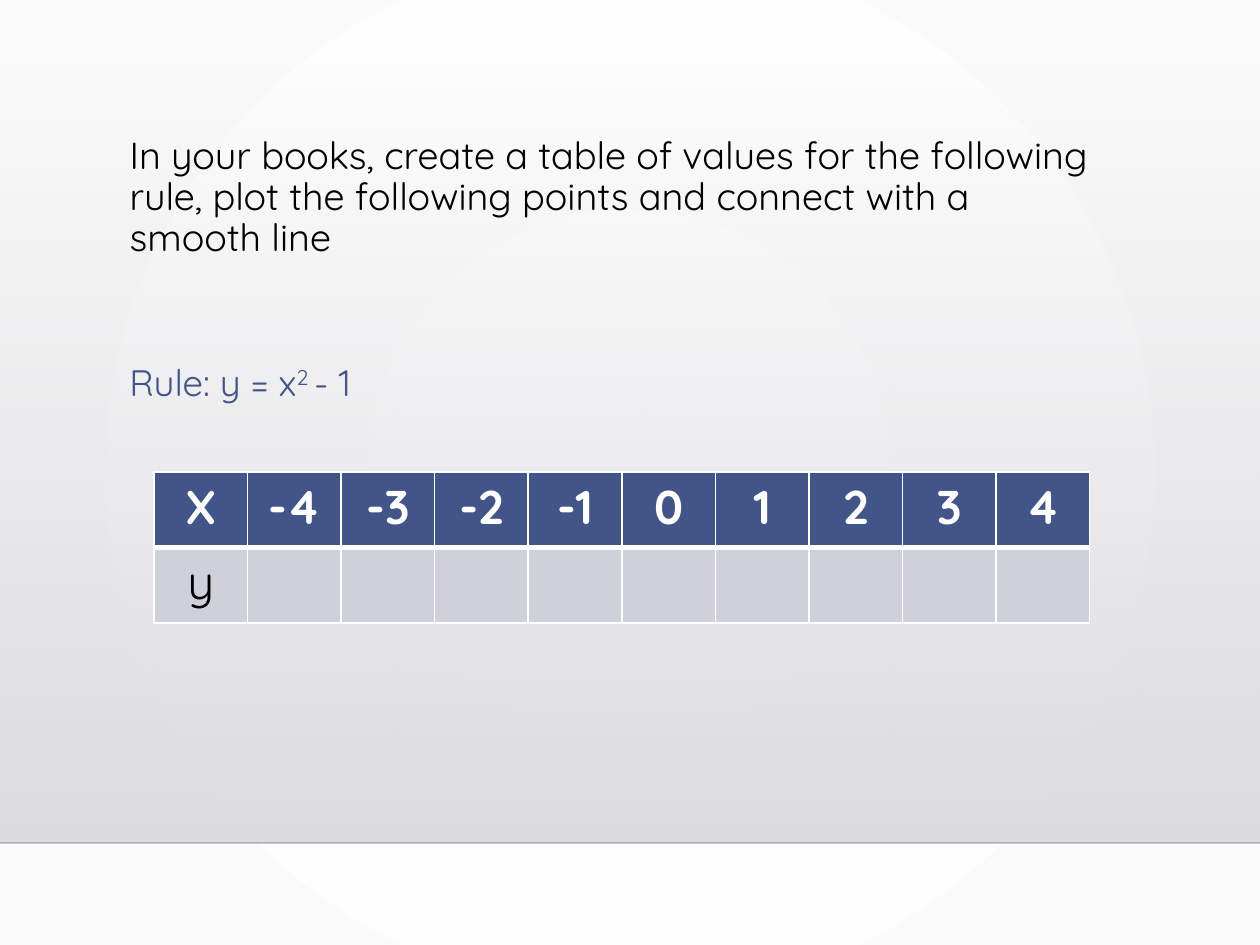
import pptx
import pptx.util
import pptx.dml.color
import pptx.enum.shapes
import pptx.enum.text
import pptx.oxml
import pptx.oxml.ns

PX = 914400 / 126  # EMU per px
THEME = {
    "font": "Quicksand", "ink": "000000", "accent": "415588", "light": "FFFFFF",
    "row": "CFD1DA", "edge": "000001", "backdrop": ("FFFFFF", "FAFAFA"),
    "band": ("DCDCE0", "DEDEE2"), "title_pt": 21.6, "rule_pt": 21, "table_pt": 27,
}
NS = pptx.oxml.ns.nsdecls("a")
RGB = pptx.dml.color.RGBColor.from_string
ALIGN = pptx.enum.text.PP_ALIGN
ANCHOR = pptx.enum.text.MSO_ANCHOR


def px(*lengths):
    return [round(n * PX) for n in lengths]


def add_text(p, text, size, color, bold=False, baseline=0, align=ALIGN.LEFT):
    p.alignment = align
    r = p.add_run()
    r.text = text
    r.font.name = THEME["font"]
    r.font.size = pptx.util.Pt(size)
    r.font.bold = bold
    r.font.color.rgb = RGB(color)
    if baseline:
        r._r.get_or_add_rPr().set("baseline", str(baseline * 1000))


prs = pptx.Presentation()
prs.slide_width, prs.slide_height = px(1260, 945)
s = prs.slides.add_slide(prs.slide_layouts[5])

# Background: radial gradient from the centre
fill = s.background.fill
fill.gradient()
for stop, color in zip(fill.gradient_stops, THEME["backdrop"]):
    stop.color.rgb = RGB(color)
grad = s.background._cSld.bg.bgPr.find(pptx.oxml.ns.qn("a:gradFill"))
grad.replace(grad.find(pptx.oxml.ns.qn("a:lin")), pptx.oxml.parse_xml(
    f'<a:path {NS} path="circle">'
    '<a:fillToRect l="50000" t="50000" r="50000" b="50000"/></a:path>'))

# Shaded band that fades in downwards
band = s.shapes.add_shape(pptx.enum.shapes.MSO_SHAPE.RECTANGLE, *px(0, 64, 1260, 779))
band.shadow.inherit = False
band.line.fill.background()
band.fill.gradient()
band.fill.gradient_angle = 270
for stop, color in zip(band.fill.gradient_stops, THEME["band"]):
    stop.color.rgb = RGB(color)
first_color = band._element.spPr.find(".//" + pptx.oxml.ns.qn("a:srgbClr"))
first_color.append(pptx.oxml.parse_xml(f'<a:alpha {NS} val="0"/>'))

# Line under the band
edge = s.shapes.add_connector(pptx.enum.shapes.MSO_CONNECTOR.STRAIGHT, *px(0, 843, 1260, 843))
edge.line.width = pptx.util.Pt(1)
edge.line.color.rgb = RGB(THEME["edge"])
edge_color = edge._element.spPr.find(".//" + pptx.oxml.ns.qn("a:srgbClr"))
edge_color.append(pptx.oxml.parse_xml(f'<a:alpha {NS} val="20000"/>'))
edge._element.spPr.append(pptx.oxml.parse_xml(f"<a:effectLst {NS}/>"))

# Title, brought in front of the band
title = s.shapes.title
s.shapes._spTree.append(title._element)
title.left, title.top, title.width, title.height = px(117, 131, 993, 146)
tf = title.text_frame
tf.word_wrap = True
tf.auto_size = pptx.enum.text.MSO_AUTO_SIZE.NONE
tf.vertical_anchor = ANCHOR.TOP
p = tf.paragraphs[0]
p.line_spacing = 0.9
add_text(p, "In your books, create a table of values for the following rule, "
         "plot the following points and connect with a smooth line",
         size=THEME["title_pt"], color=THEME["ink"])

# Rule
tf = s.shapes.add_textbox(*px(117, 299, 480, 111)).text_frame
tf.word_wrap = True
tf.vertical_anchor = ANCHOR.BOTTOM
for text, baseline in [("Rule: y = x", 0), ("2 ", 30), ("- 1", 0)]:
    add_text(tf.paragraphs[0], text, size=THEME["rule_pt"], color=THEME["accent"],
             baseline=baseline)

# Table of values: header row of x, empty row for y
rows = [["X", *map(str, range(-4, 5))], ["y"] + [""] * 9]
styles = [
    {"fill": THEME["accent"], "color": THEME["light"], "bold": True, "top": 1, "bottom": 3},
    {"fill": THEME["row"], "color": THEME["ink"], "bold": False, "top": 3, "bottom": 1},
]
table = s.shapes.add_table(2, 10, *px(154, 472, 936, 151)).table
for i, (row, style) in enumerate(zip(rows, styles)):
    borders = {"L": 1, "R": 1, "T": style["top"], "B": style["bottom"]}
    for j, text in enumerate(row):
        cell = table.cell(i, j)
        cell.margin_left, cell.margin_right, cell.margin_top, cell.margin_bottom = px(9, 9, 5, 5)
        tcPr = cell._tc.get_or_add_tcPr()
        for side, width in borders.items():
            tcPr.append(pptx.oxml.parse_xml(
                f'<a:ln{side} {NS} w="{pptx.util.Pt(width)}"><a:solidFill>'
                f'<a:srgbClr val="{THEME["light"]}"/></a:solidFill></a:ln{side}>'))
        cell.fill.solid()
        cell.fill.fore_color.rgb = RGB(style["fill"])
        if text:
            add_text(cell.text_frame.paragraphs[0], text, size=THEME["table_pt"],
                     color=style["color"], bold=style["bold"], align=ALIGN.CENTER)

prs.save("out.pptx")
